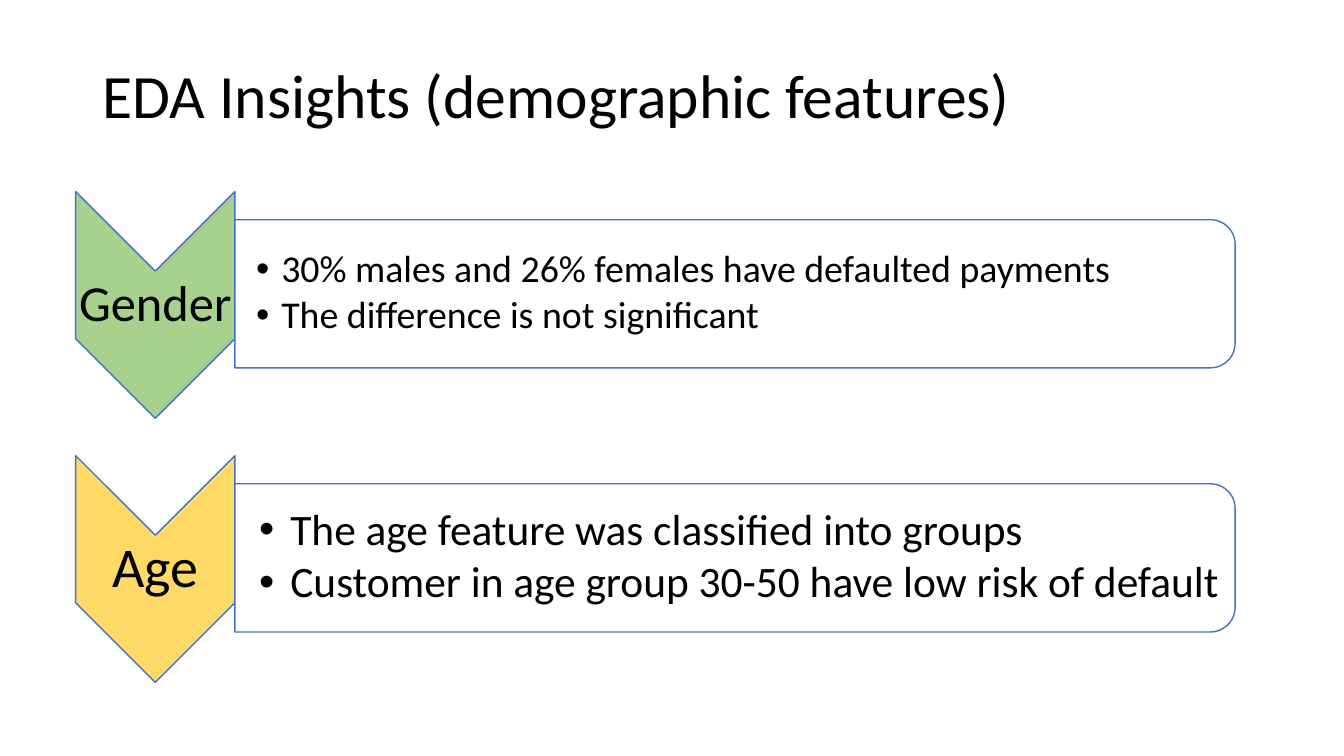
"""Builds the slide of demographic insights: a chevron and a bullet panel per feature."""
from lxml import etree
from pptx import Presentation
from pptx import util as u
from pptx.dml.color import RGBColor
from pptx.enum import shapes, text
from pptx.oxml.ns import qn

TITLE = "EDA Insights (demographic features)"
ROWS = [
    dict(name="Gender", size=36, fill="A9D18E", note=27, inset=0.21, indent=0.25, points=[
        "30% males and 26% females have defaulted payments",
        "The difference is not significant"]),
    dict(name="Age", size=40, fill="FFD966", note=31, inset=0.24, indent=0.31, points=[
        "The age feature was classified into groups",
        "Customer in age group 30-50 have low risk of default"]),
]
FONT, BLACK, WHITE, BLUE = "Calibri", "000000", "FFFFFF", "4472C4"
LEFT, TOP, PITCH = 0.75, 1.9, 2.62
TAG_W, TAG_H = 1.58, 2.25
BODY_W, BODY_H, DROP = 9.92, 1.47, 0.28
MID, LEAD = text.MSO_ANCHOR.MIDDLE, 0.9


def hue(code):
    """Turn a hex string into a colour."""
    return RGBColor.from_string(code)


def turned(kind, x, y, w, h, fill):
    """Add a shape turned by 90 degrees that covers the given box."""
    box = (x + (w - h) / 2, y + (h - w) / 2, h, w)
    part = slide.shapes.add_shape(kind, *map(u.Inches, box))
    part.rotation = 90
    part.shadow.inherit = False
    part.fill.solid()
    part.fill.fore_color.rgb = hue(fill)
    part.line.color.rgb = hue(BLUE)
    part.line.width = u.Pt(1)
    return part


def write(box, lines, size, insets, align=None, after=0, indent=0):
    """Add a text box with one paragraph per line, bulleted when indented."""
    frame = slide.shapes.add_textbox(*map(u.Inches, box)).text_frame
    frame.word_wrap = True
    frame.vertical_anchor = MID
    sides = ("left", "top", "right", "bottom")
    for side, inset in zip(sides, insets):
        setattr(frame, "margin_" + side, u.Inches(inset))
    for i, line in enumerate(lines):
        para = frame.add_paragraph() if i else frame.paragraphs[0]
        para.alignment = align
        para.line_spacing = LEAD
        para.space_after = u.Pt(round(size * after, 1))
        if indent:
            props = para._p.get_or_add_pPr()
            props.set("marL", str(u.Inches(indent)))
            props.set("indent", str(-u.Inches(indent)))
            etree.SubElement(props, qn("a:buFont"), typeface="Arial")
            etree.SubElement(props, qn("a:buChar"), char="•")
        run = para.add_run()
        run.text = line
        run.font.name = FONT
        run.font.size = u.Pt(size)
        run.font.color.rgb = hue(BLACK)


deck = Presentation()
deck.slide_width, deck.slide_height = u.Inches(13.33), u.Inches(7.5)
slide = deck.slides.add_slide(deck.slide_layouts[6])

write((0.92, 0.25, 11.5, 1.45), [TITLE], 44, (0.1, 0.05, 0.1, 0.05))

for i, row in enumerate(ROWS):
    top = TOP + i * PITCH
    side = LEFT + TAG_W
    turned(shapes.MSO_SHAPE.CHEVRON, LEFT, top, TAG_W, TAG_H, row["fill"])
    write((LEFT, top + TAG_W / 2, TAG_W, TAG_H - TAG_W), [row["name"]],
          row["size"], [0.03] * 4, text.PP_ALIGN.CENTER)
    body = turned(shapes.MSO_SHAPE.ROUND_2_SAME_RECTANGLE,
                  side, top + DROP, BODY_W, BODY_H, WHITE)
    tint = body._element.spPr.find(qn("a:solidFill"))[0]
    etree.SubElement(tint, qn("a:alpha"), val="90000")
    write((side, top + 0.35, 9.85, 1.32), row["points"], row["note"],
          (row["inset"], 0.02, 0.02, 0.02), after=0.14, indent=row["indent"])

deck.save("out.pptx")
